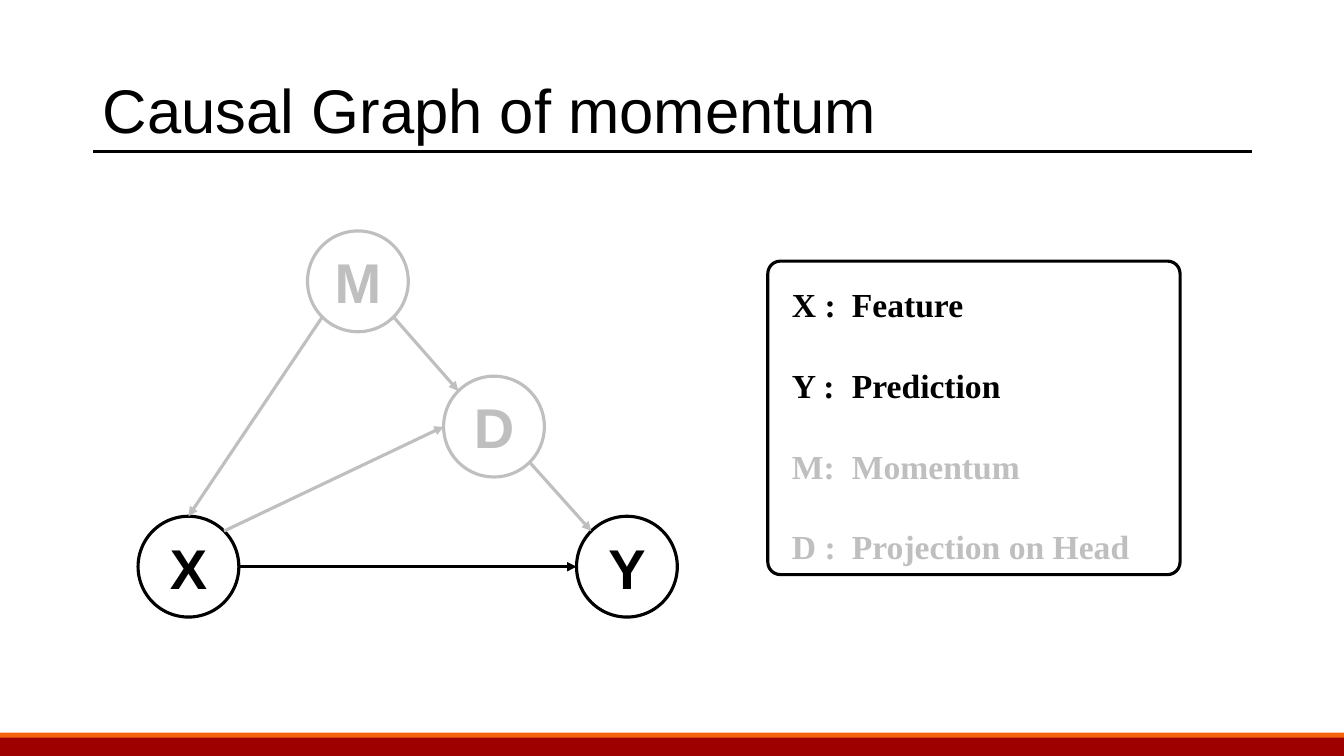
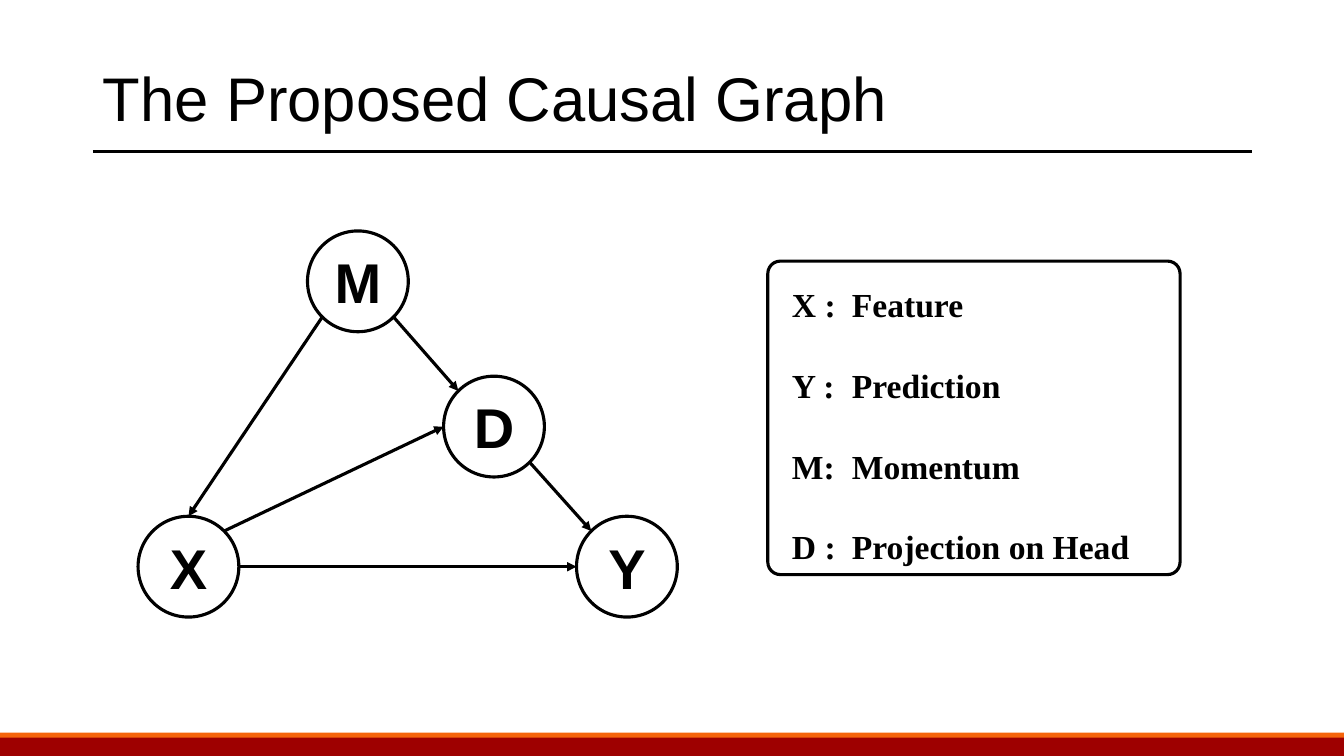
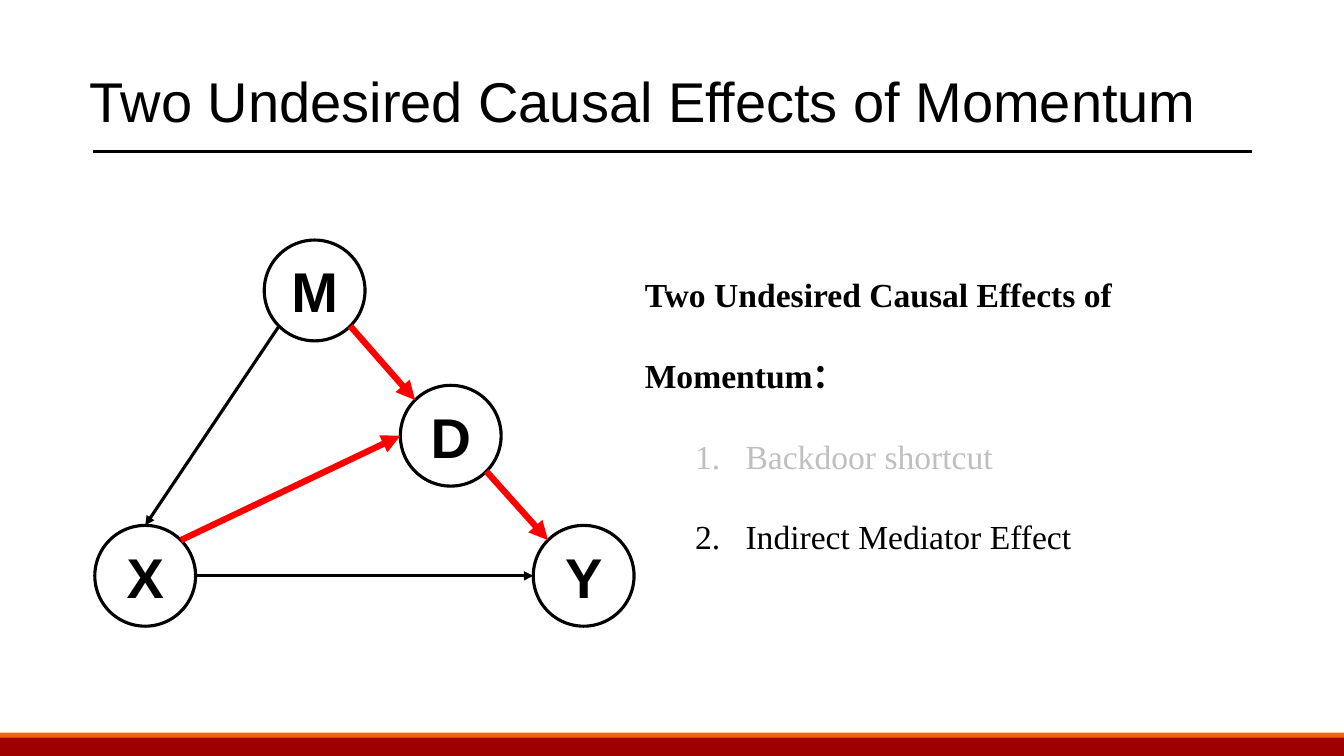
import math

import lxml.etree
import pptx
import pptx.dml.color
import pptx.enum.shapes
import pptx.enum.text
import pptx.oxml.ns
import pptx.util

Cm, Pt = pptx.util.Cm, pptx.util.Pt
SHAPE = pptx.enum.shapes.MSO_SHAPE
STRAIGHT = pptx.enum.shapes.MSO_CONNECTOR.STRAIGHT
ALIGN = pptx.enum.text.PP_ALIGN
ANCHOR = pptx.enum.text.MSO_ANCHOR
qn = pptx.oxml.ns.qn

# Colours and fonts
BLACK = pptx.dml.color.RGBColor(0x00, 0x00, 0x00)
WHITE = pptx.dml.color.RGBColor(0xFF, 0xFF, 0xFF)
GREY = pptx.dml.color.RGBColor(0xBF, 0xBF, 0xBF)
RED = pptx.dml.color.RGBColor(0xFF, 0x00, 0x00)
DARK_RED = pptx.dml.color.RGBColor(0x9E, 0x00, 0x00)
ORANGE = pptx.dml.color.RGBColor(0xF5, 0x64, 0x0B)
HEADING_FONT, BODY_FONT = "Arial", "Times New Roman"

# Sizes in centimetres
SLIDE_WIDTH, SLIDE_HEIGHT = 33.87, 19.05
NODE_SIZE = 2.54
# Line widths in points
LINE_WIDTH, BOLD_LINE_WIDTH = 2.25, 4.5

# Causal graph: node corners from the graph's corner, and edges
# as (from, leaving angle, to, arriving angle), clockwise from the right
NODES = {"M": (4.27, 0), "X": (0, 7.19), "D": (7.7, 3.66), "Y": (11.05, 7.19)}
EDGES = [
    ("M", 45, "D", 225),
    ("D", 45, "Y", 225),
    ("M", 135, "X", 270),
    ("X", 315, "D", 180),
    ("X", 0, "Y", 180),
]

LEGEND = [
    ("X", "X :\tFeature"),
    ("Y", "Y :\tPrediction"),
    ("M", "M:\tMomentum"),
    ("D", "D :\tProjection on Head"),
]

# Title box is left, top, width
SLIDES = [
    {"title": "Causal Graph of momentum", "title_box": (2.34, 1.02, 29.21),
     "title_size": 44, "graph": (3.48, 5.82), "faded": "MD"},
    {"title": "The Proposed Causal Graph", "title_box": (2.34, 0.71, 29.21),
     "title_size": 44, "graph": (3.48, 5.82)},
    {"title": "Two Undesired Causal Effects of Momentum",
     "title_box": (2.01, 0.79, 31.62), "title_size": 40,
     "graph": (2.39, 6.05), "highlighted": ("MD", "DY", "XD"),
     "heading": "Two Undesired Causal Effects of Momentum：",
     "effects": [("Backdoor shortcut", GREY), ("Indirect Mediator Effect", BLACK)]},
]


def set_font(paragraph, name, size, color=BLACK, bold=False):
    font = paragraph.font
    font.name, font.size, font.bold = name, Pt(size), bold
    font.color.rgb = color


def add_box(slide, kind, left, top, width, height, fill=None, line=None):
    shape = slide.shapes.add_shape(kind, Cm(left), Cm(top), Cm(width), Cm(height))
    shape.shadow.inherit = False
    if fill is None:
        shape.fill.background()
    else:
        shape.fill.solid()
        shape.fill.fore_color.rgb = fill
    if line is None:
        shape.line.fill.background()
    else:
        shape.line.color.rgb = line
        shape.line.width = Pt(LINE_WIDTH)
    return shape


def add_line(slide, start, end, color=BLACK, width=LINE_WIDTH, arrow=False):
    connector = slide.shapes.add_connector(STRAIGHT, *map(Cm, start + end))
    connector.line.color.rgb = color
    connector.line.width = Pt(width)
    properties = connector.element.spPr
    if arrow:
        outline = properties.find(qn("a:ln"))
        lxml.etree.SubElement(outline, qn("a:tailEnd"), type="triangle")
    lxml.etree.SubElement(properties, qn("a:effectLst"))
    return connector


def move_decoration_to_layout(slide, layout):
    """Draw the title rule and the bottom bands, then share them by the layout."""
    decoration = [
        add_box(slide, SHAPE.RECTANGLE, 0, 18.52, SLIDE_WIDTH, 0.53, DARK_RED),
        add_box(slide, SHAPE.RECTANGLE, 0, 18.46, SLIDE_WIDTH, 0.13, ORANGE),
        add_line(slide, (2.34, 3.81), (31.55, 3.81)),
    ]
    for number, shape in enumerate(decoration, start=101):
        shape.element.xpath(".//p:cNvPr")[0].set("id", str(number))
        layout.shapes.element.append(shape.element)


def format_title(slide, text, box, size):
    left, top, width = box
    title = slide.shapes.title
    title.left, title.top, title.width, title.height = map(Cm, (left, top, width, 3.68))
    frame = title.text_frame
    frame.text = text
    frame.word_wrap = True
    frame.auto_size = pptx.enum.text.MSO_AUTO_SIZE.NONE
    frame.vertical_anchor = ANCHOR.MIDDLE
    paragraph = frame.paragraphs[0]
    paragraph.alignment = ALIGN.LEFT
    paragraph.line_spacing = 0.9
    set_font(paragraph, HEADING_FONT, size)


def add_graph(slide, origin, faded="", highlighted=()):
    corners = {name: (origin[0] + x, origin[1] + y) for name, (x, y) in NODES.items()}

    def rim_point(name, angle):
        radius, turn = NODE_SIZE / 2, math.radians(angle)
        left, top = corners[name]
        return (left + radius * (1 + math.cos(turn)), top + radius * (1 + math.sin(turn)))

    for name, (left, top) in corners.items():
        color = GREY if name in faded else BLACK
        node = add_box(slide, SHAPE.OVAL, left, top, NODE_SIZE, NODE_SIZE, WHITE, color)
        frame = node.text_frame
        frame.text = name
        frame.word_wrap = False
        frame.vertical_anchor = ANCHOR.MIDDLE
        paragraph = frame.paragraphs[0]
        paragraph.alignment = ALIGN.CENTER
        set_font(paragraph, HEADING_FONT, 40, color, bold=True)

    for start, leaving, end, arriving in EDGES:
        color, width = BLACK, LINE_WIDTH
        if start in faded or end in faded:
            color = GREY
        if start + end in highlighted:
            color, width = RED, BOLD_LINE_WIDTH
        add_line(slide, rim_point(start, leaving), rim_point(end, arriving),
                 color, width, arrow=True)


def add_text(slide, left, top, width, lines):
    """Each line is (text, colour, bold, kind); kind is tabbed, numbered or plain."""
    box = slide.shapes.add_textbox(Cm(left), Cm(top), Cm(width), Cm(8.15))
    frame = box.text_frame
    frame.word_wrap = True
    for index, (text, color, bold, kind) in enumerate(lines):
        paragraph = frame.paragraphs[0] if index == 0 else frame.add_paragraph()
        paragraph.text = text
        paragraph.line_spacing = 2.0
        properties = paragraph._p.get_or_add_pPr()
        if kind == "tabbed":
            tabs = lxml.etree.SubElement(properties, qn("a:tabLst"))
            lxml.etree.SubElement(tabs, qn("a:tab"), pos=str(Cm(1.51)), algn="l")
        elif kind == "numbered":
            properties.set("marL", str(Cm(2.54)))
            properties.set("indent", str(Cm(-1.27)))
            lxml.etree.SubElement(properties, qn("a:buAutoNum"), type="arabicPeriod")
        set_font(paragraph, BODY_FONT, 24, color, bold)


def add_legend(slide, faded=""):
    add_text(slide, 19.71, 6.02, 10.03,
             [(text, GREY if name in faded else BLACK, True, "tabbed")
              for name, text in LEGEND])
    frame = add_box(slide, SHAPE.ROUNDED_RECTANGLE, 19.35, 6.58, 10.39, 7.9, line=BLACK)
    frame.adjustments[0] = 0.04


def main():
    presentation = pptx.Presentation()
    presentation.slide_width = Cm(SLIDE_WIDTH)
    presentation.slide_height = Cm(SLIDE_HEIGHT)
    layout = presentation.slide_layouts.get_by_name("Title Only")

    for index, content in enumerate(SLIDES):
        slide = presentation.slides.add_slide(layout)
        if index == 0:
            move_decoration_to_layout(slide, layout)
        faded = content.get("faded", "")
        format_title(slide, content["title"], content["title_box"], content["title_size"])
        add_graph(slide, content["graph"], faded, content.get("highlighted", ()))
        if "effects" in content:
            lines = [(content["heading"], BLACK, True, "plain")]
            lines += [(text, color, False, "numbered") for text, color in content["effects"]]
            add_text(slide, 16, 5.77, 16.5, lines)
        else:
            add_legend(slide, faded)

    presentation.save("out.pptx")


if __name__ == "__main__":
    main()
